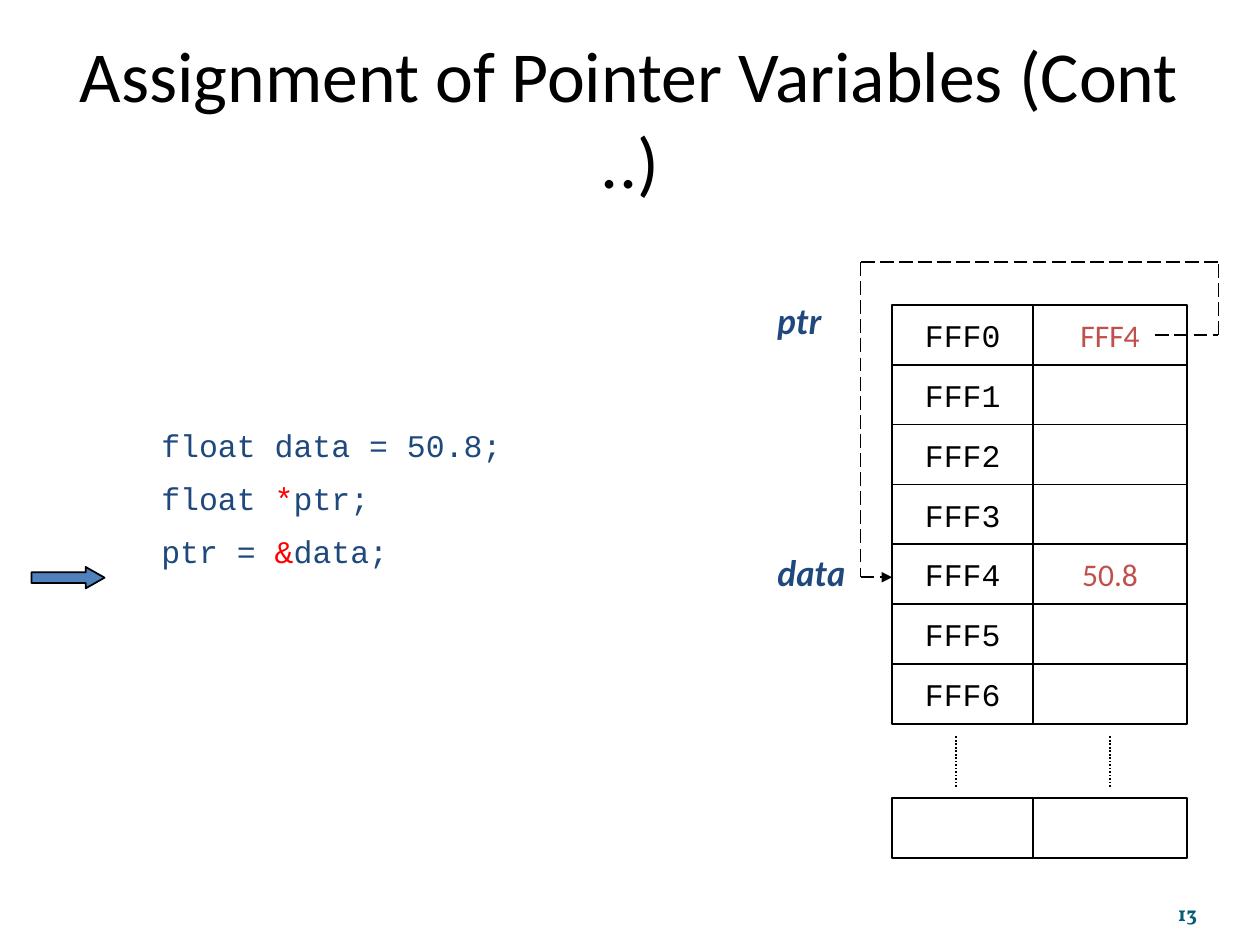
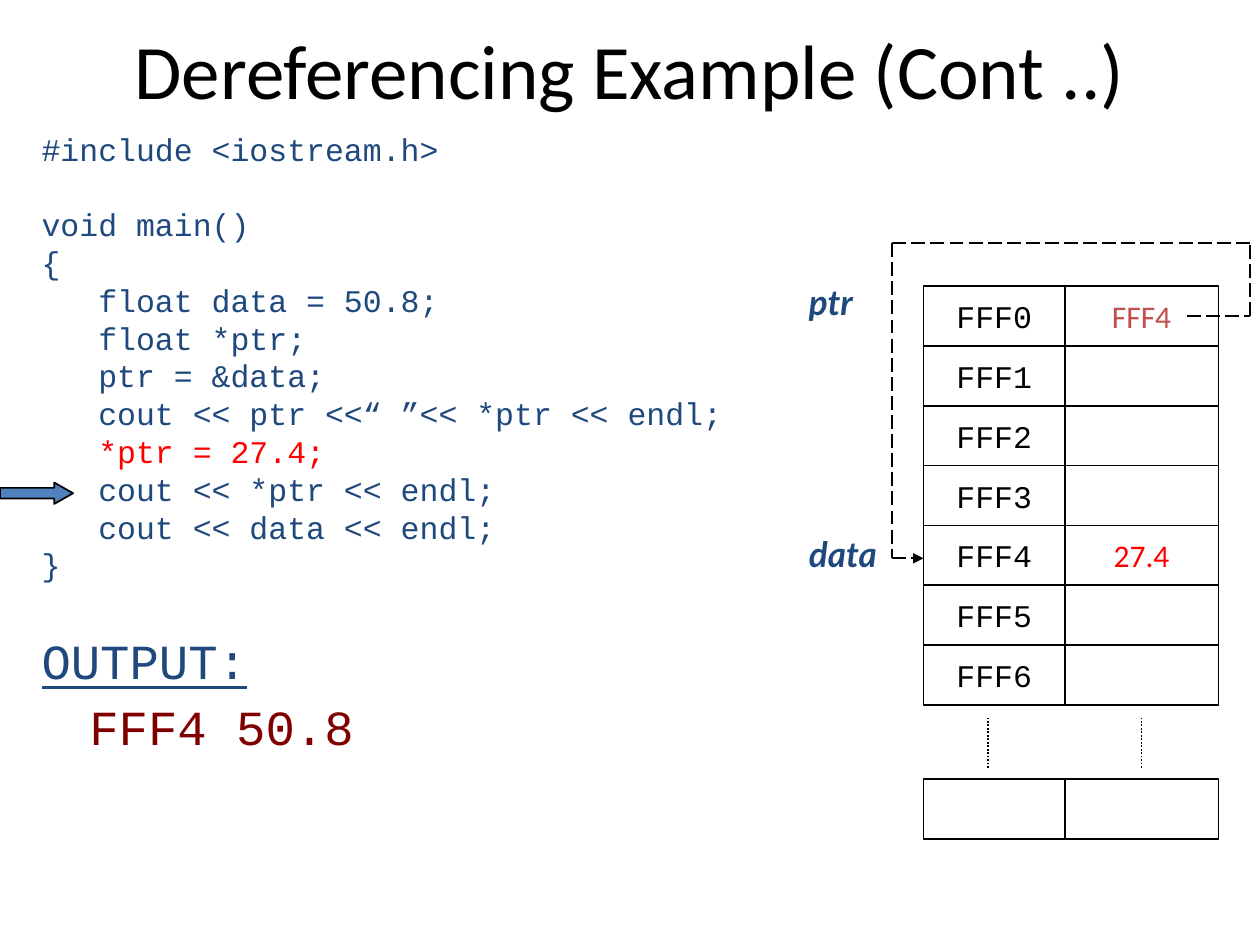
from itertools import pairwise
from lxml.etree import SubElement
from pptx import Presentation
from pptx.dml.color import RGBColor
from pptx.enum.dml import MSO_LINE as DASH
from pptx.enum.shapes import MSO_CONNECTOR, MSO_SHAPE
from pptx.enum.text import MSO_ANCHOR as ANCHOR, PP_ALIGN as ALIGN
from pptx.oxml.ns import qn
from pptx.util import Inches, Pt

BLACK, NAVY, BRICK, RED = "000000", "1F497D", "C0504D", "FF0000"
MAROON, TEAL, BLUE = "800000", "045C75", "4F81BD"
BODY, MONO, LABEL, NUMBER = "Calibri", "Courier New", "Lato", "Vollkorn"

ADDRESSES = [f"FFF{i}" for i in range(7)]
PTR_ROW, DATA_ROW = 0, 4
COL_W, ROW_H = (1.12, 1.22), 0.475
HANG = 0.38

SLIDES = [
    dict(
        title="Assignment of Pointer Variables (Cont ..)", title_top=0.3, title_size=41,
        code_box=(0.83, 3.33, 4.25, 1.4),
        code=[
            ("   float data = 50.8;", {}),
            (["   float ", ("*", RED), "ptr;"], dict(before=8.8)),
            (["   ptr = ", ("&", RED), "data;"], dict(before=8.8)),
        ],
        arrow=(0.25, 4.5), memory=(7.08, 2.42), value=("50.8", BRICK), number="13",
    ),
    dict(
        title="Dereferencing Example (Cont ..)", title_top=-0.08, title_size=44,
        code_box=(0.33, 0.98, 6.08, 5.08),
        code=[
            ("#include <iostream.h>", {}),
            ("void main()", dict(before=21.6)),
            ("{", {}),
            ("   float data = 50.8;", {}),
            ("   float *ptr;", {}),
            ("   ptr = &data;", {}),
            ("   cout << ptr <<“ ”<< *ptr << endl;", {}),
            (["   ", ("*ptr = 27.4;", RED)], {}),
            ("   cout << *ptr << endl;", {}),
            ("   cout << data << endl;", {}),
            ("}", {}),
            ("OUTPUT:", dict(size=28, underline=True, before=31, spacing=0.9)),
            ("FFF4 50.8", dict(size=28, color=MAROON, before=7, spacing=0.9, margin=HANG)),
        ],
        arrow=(0, 3.83), memory=(7.33, 2.27), value=("27.4", RED), number=None,
    ),
]


def rgb(color):
    return RGBColor.from_string(color)


def add_paragraph(p, runs, font=BODY, size=18, color=BLACK, bold=None, italic=None,
                  underline=None, align=ALIGN.LEFT, before=0, spacing=None, margin=0):
    p.alignment = align
    if before:
        p.space_before = Pt(before)
    if spacing:
        p.line_spacing = spacing
    if margin:
        p._p.get_or_add_pPr().set("marL", str(Inches(margin)))
    for run in [runs] if isinstance(runs, str) else runs:
        text, run_color = (run, color) if isinstance(run, str) else run
        r = p.add_run()
        r.text = text
        f = r.font
        f.name, f.size, f.bold, f.italic, f.underline = font, Pt(size), bold, italic, underline
        f.color.rgb = rgb(run_color)


def write(sp, paragraphs, anchor=ANCHOR.TOP, insets=(0, 0.05), wrap=True, **fmt):
    tf = sp.text_frame
    tf.word_wrap, tf.vertical_anchor = wrap, anchor
    tf.margin_left = tf.margin_right = Inches(insets[0])
    tf.margin_top = tf.margin_bottom = Inches(insets[1])
    if isinstance(paragraphs, str):
        paragraphs = [(paragraphs, {})]
    for i, (runs, own) in enumerate(paragraphs):
        p = tf.add_paragraph() if i else tf.paragraphs[0]
        add_paragraph(p, runs, **{**fmt, **own})


def add_text(s, box, paragraphs, **fmt):
    write(s.shapes.add_textbox(*map(Inches, box)), paragraphs, **fmt)


def add_outline(s, kind, box, fill=None):
    sp = s.shapes.add_shape(kind, *map(Inches, box))
    sp.shadow.inherit = False
    if fill:
        sp.fill.solid()
        sp.fill.fore_color.rgb = rgb(fill)
    else:
        sp.fill.background()
    sp.line.color.rgb, sp.line.width = rgb(BLACK), Pt(1)
    return sp


def add_line(shapes, start, end, dash, head=False):
    c = shapes.add_connector(MSO_CONNECTOR.STRAIGHT, *map(Inches, (*start, *end)))
    c.line.color.rgb, c.line.width, c.line.dash_style = rgb(BLACK), Pt(1), dash
    if head:
        SubElement(c.line._get_or_add_ln(), qn("a:tailEnd"), type="triangle")
    SubElement(c._element.spPr, qn("a:effectLst"))


def add_cell(s, x, y, col, text="", **fmt):
    sp = add_outline(s, MSO_SHAPE.RECTANGLE, (x + sum(COL_W[:col]), y, COL_W[col], ROW_H))
    if text:
        write(sp, text, anchor=ANCHOR.MIDDLE, insets=(0.1, 0.05), wrap=False,
              align=ALIGN.CENTER, **fmt)


def add_memory(s, x, y, value):
    contents = {PTR_ROW: ("FFF4", BRICK), DATA_ROW: value}
    for row, address in enumerate(ADDRESSES):
        text, color = contents.get(row, ("", BLACK))
        add_cell(s, x, y + row * ROW_H, 0, address, font=MONO)
        add_cell(s, x, y + row * ROW_H, 1, text, color=color)

    bottom = y + len(ADDRESSES) * ROW_H
    for col in range(2):
        gap_x = x + 0.51 + col * COL_W[1]
        add_line(s.shapes, (gap_x, bottom + 0.1), (gap_x, bottom + 0.51), DASH.ROUND_DOT)
        add_cell(s, x, bottom + 0.59, col)

    for name, drop in (("ptr", 0), ("data", 2)):
        add_text(s, (x - 0.91, y - 0.09 + drop, 0.75, 0.44), name,
                 font=LABEL, size=20, color=NAVY, bold=True, italic=True)

    left, right, top = x - 0.25, x + sum(COL_W) + 0.25, y - 0.34
    ptr_y = y + (PTR_ROW + 0.5) * ROW_H
    data_y = y + (DATA_ROW + 0.55) * ROW_H
    route = [(right - 0.5, ptr_y), (right, ptr_y), (right, top),
             (left, top), (left, data_y), (x, data_y)]
    wire = s.shapes.add_group_shape().shapes
    for start, end in pairwise(route):
        add_line(wire, start, end, DASH.LONG_DASH, head=end == route[-1])


def add_slide(prs, d):
    s = prs.slides.add_slide(prs.slide_layouts[6])
    add_text(s, (0.5, d["title_top"], 9, 1.25), d["title"], size=d["title_size"],
             align=ALIGN.CENTER, anchor=ANCHOR.MIDDLE, insets=(0.1, 0.05))
    add_text(s, d["code_box"], d["code"], font=MONO, color=NAVY)
    arrow = add_outline(s, MSO_SHAPE.RIGHT_ARROW, (*d["arrow"], 0.58, 0.17), BLUE)
    arrow.adjustments[1] = 0.88
    add_memory(s, *d["memory"], d["value"])
    if d["number"]:
        add_text(s, (8.67, 6.95, 0.83, 0.4), d["number"], font=NUMBER, size=12, color=TEAL,
                 bold=True, align=ALIGN.RIGHT, anchor=ANCHOR.BOTTOM, insets=(0, 0))


def main():
    prs = Presentation()
    prs.slide_width, prs.slide_height = Inches(10), Inches(7.5)
    for d in SLIDES:
        add_slide(prs, d)
    prs.save("out.pptx")


if __name__ == "__main__":
    main()
